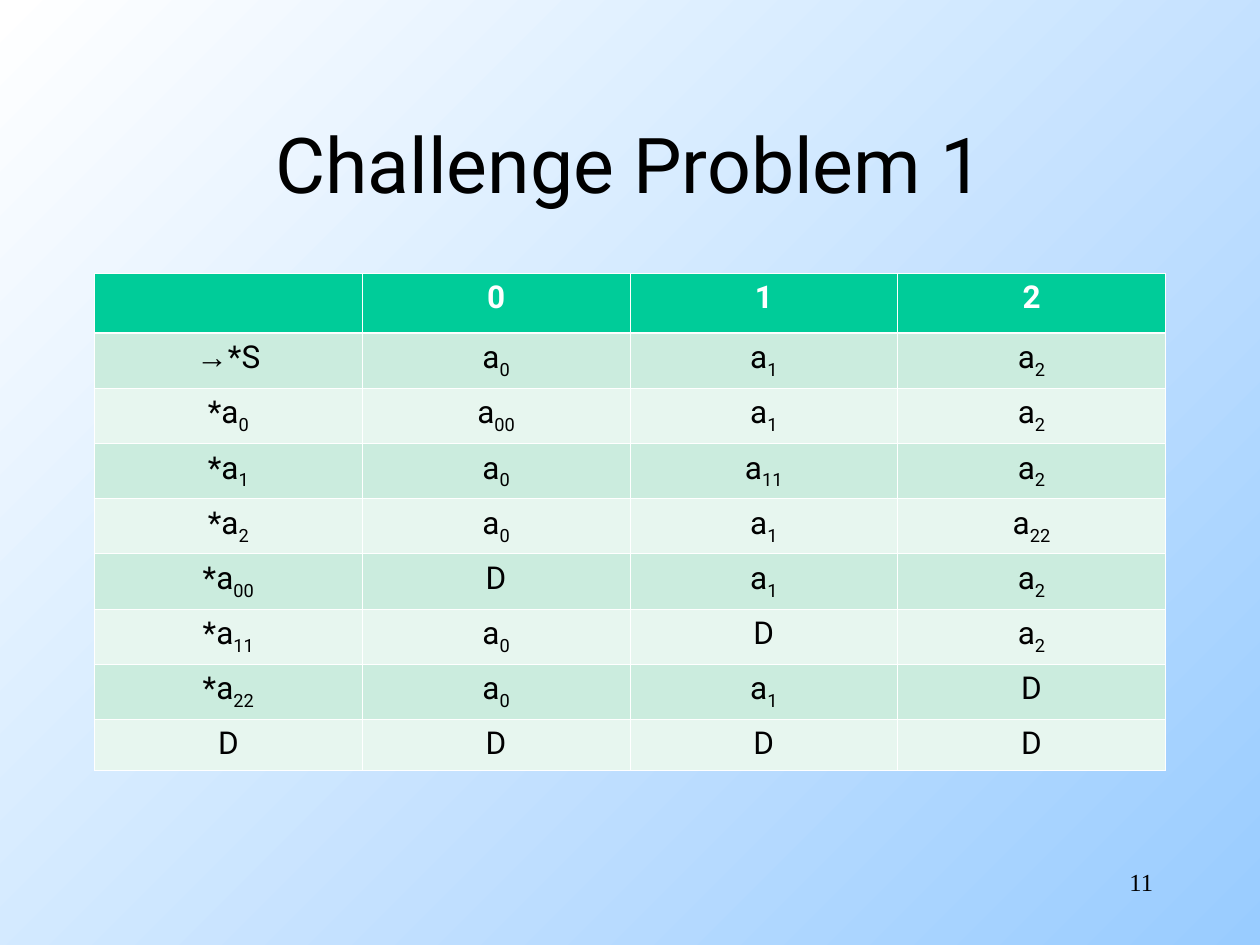
from lxml.etree import SubElement as Sub
from pptx import Presentation
from pptx.dml.color import RGBColor as RGB
from pptx.enum.text import MSO_ANCHOR as Anchor, MSO_AUTO_SIZE as Auto, PP_ALIGN as Align
from pptx.oxml.ns import qn
from pptx.util import Pt

PX = 9525  # EMU in one px, 96 px to the inch


def px(*sizes):
    return [size * PX for size in sizes]


def tint(code):
    return RGB.from_string(code)


def write(frame, text, size=18, font="Roboto", color="000000", bold=False, align=Align.CENTER):
    """Write one line; what follows "_" is a subscript, and an arrow is set in Arial."""
    para = frame.paragraphs[0]
    para.alignment = align
    base, _, sub = text.partition("_")
    arrow = "→" if base.startswith("→") else ""
    parts = [(arrow, "Arial", 0), (base.removeprefix("→"), font, 0), (sub, font, -25)]
    for part, face, shift in parts:
        if not part:
            continue
        run = para.add_run()
        run.text = part
        run.font.name, run.font.size, run.font.bold = face, Pt(size), bold
        run.font.color.rgb = tint(color)
        if shift:
            run._r.get_or_add_rPr().set("baseline", str(shift * 1000))


class Deck:
    head, bands, rule = "00CC99", ("E7F6EF", "CBECDE"), "FFFFFF"
    thin, thick = 0.45, 1.47

    def __init__(self, wide, high):
        self.prs = Presentation()
        self.prs.slide_width, self.prs.slide_height = px(wide, high)
        self.slide = self.prs.slides.add_slide(self.prs.slide_layouts[5])

    def back(self, *colors, angle):
        fill = self.slide.background.fill
        fill.gradient()
        fill.gradient_angle = angle
        for stop, color in zip(fill.gradient_stops, colors):
            stop.color.rgb = tint(color)

    def title(self, text, *box):
        shape = self.slide.shapes.title
        shape.left, shape.top, shape.width, shape.height = px(*box)
        frame = shape.text_frame
        frame.auto_size, frame.vertical_anchor = Auto.NONE, Anchor.MIDDLE
        write(frame, text, size=44)

    def label(self, text, *box, **style):
        frame = self.slide.shapes.add_textbox(*px(*box)).text_frame
        frame.word_wrap = True
        write(frame, text, **style)

    def border(self, cell, **widths):
        props = cell._tc.get_or_add_tcPr()
        for side in "LRTB":
            line = Sub(props, qn(f"a:ln{side}"), w=str(Pt(widths.get(side, self.thin))))
            fill = Sub(line, qn("a:solidFill"))
            Sub(fill, qn("a:srgbClr"), val=self.rule)

    def table(self, rows, highs, left, top, wide):
        count = len(rows[0])
        box = px(left, top, wide, sum(highs))
        grid = self.slide.shapes.add_table(len(rows), count, *box).table
        for row, high in zip(grid.rows, highs):
            row.height = high * PX
        for i, row in enumerate(rows):
            edge = {0: {"B": self.thick}, 1: {"T": self.thick}}.get(i, {})
            style = {"color": "FFFFFF", "bold": True} if i == 0 else {}
            for j, text in enumerate(row):
                cell = grid.cell(i, j)
                self.border(cell, **edge)
                cell.fill.solid()
                cell.fill.fore_color.rgb = tint(self.bands[i % 2] if i else self.head)
                write(cell.text_frame, text, **style)


def main():
    deck = Deck(960, 720)
    deck.back("FFFFFF", "99CCFF", angle=315)
    deck.title("Challenge Problem 1", 72, 64, 816, 120)

    # State table: one row per state, one column per input digit
    states = [
        "→*S a_0 a_1 a_2",
        "*a_0 a_00 a_1 a_2",
        "*a_1 a_0 a_11 a_2",
        "*a_2 a_0 a_1 a_22",
        "*a_00 D a_1 a_2",
        "*a_11 a_0 D a_2",
        "*a_22 a_0 a_1 D",
        "D D D D",
    ]
    rows = [["", "0", "1", "2"]] + [line.split() for line in states]
    deck.table(rows, [46] + [42] * 7 + [39], 72, 208, 816)

    # Page number
    deck.label("11", 688, 656, 200, 48, size=14, font="Times New Roman", align=Align.RIGHT)
    deck.prs.save("out.pptx")


if __name__ == "__main__":
    main()
